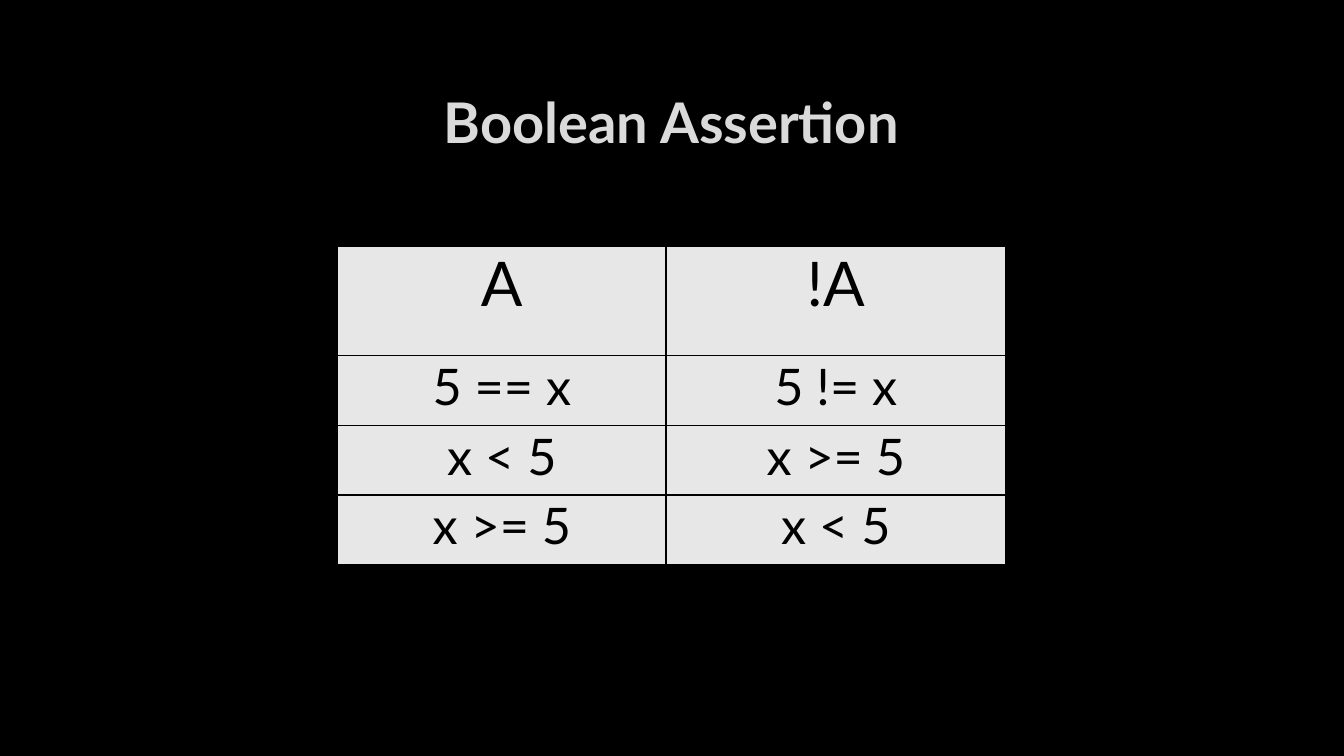
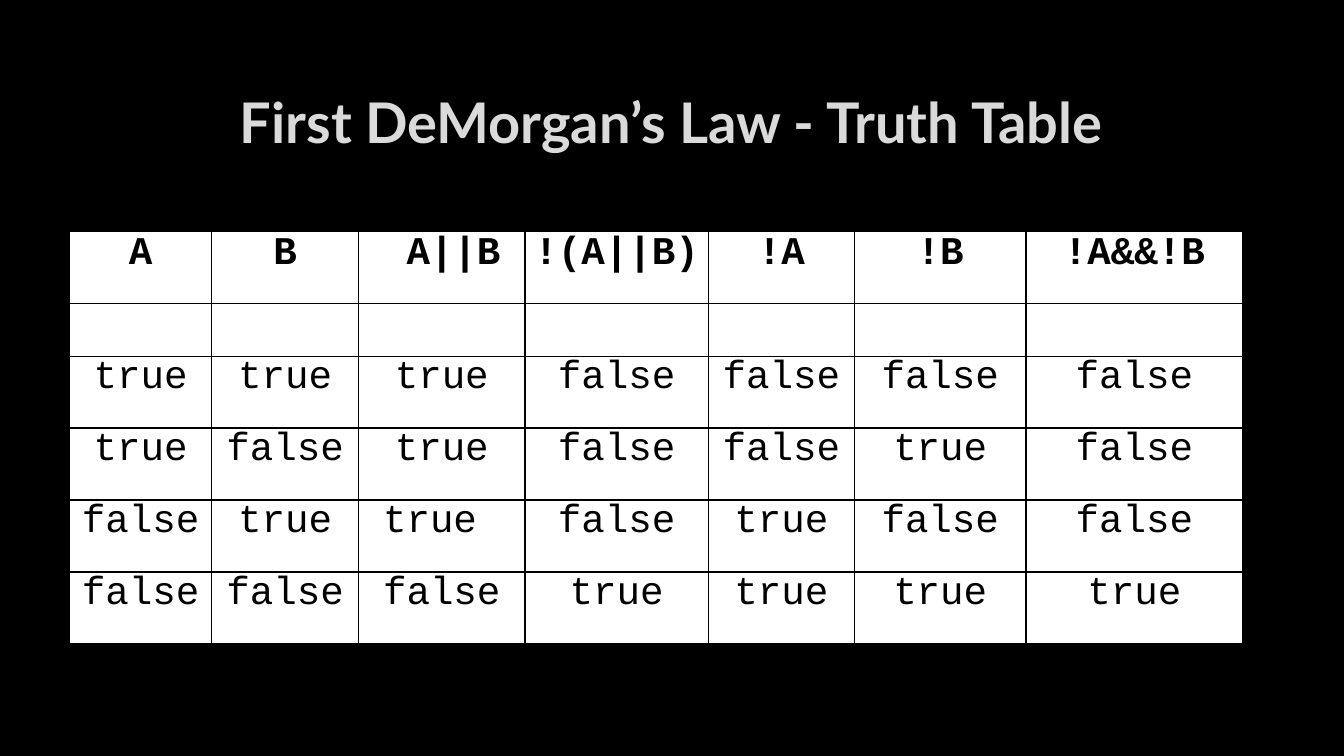
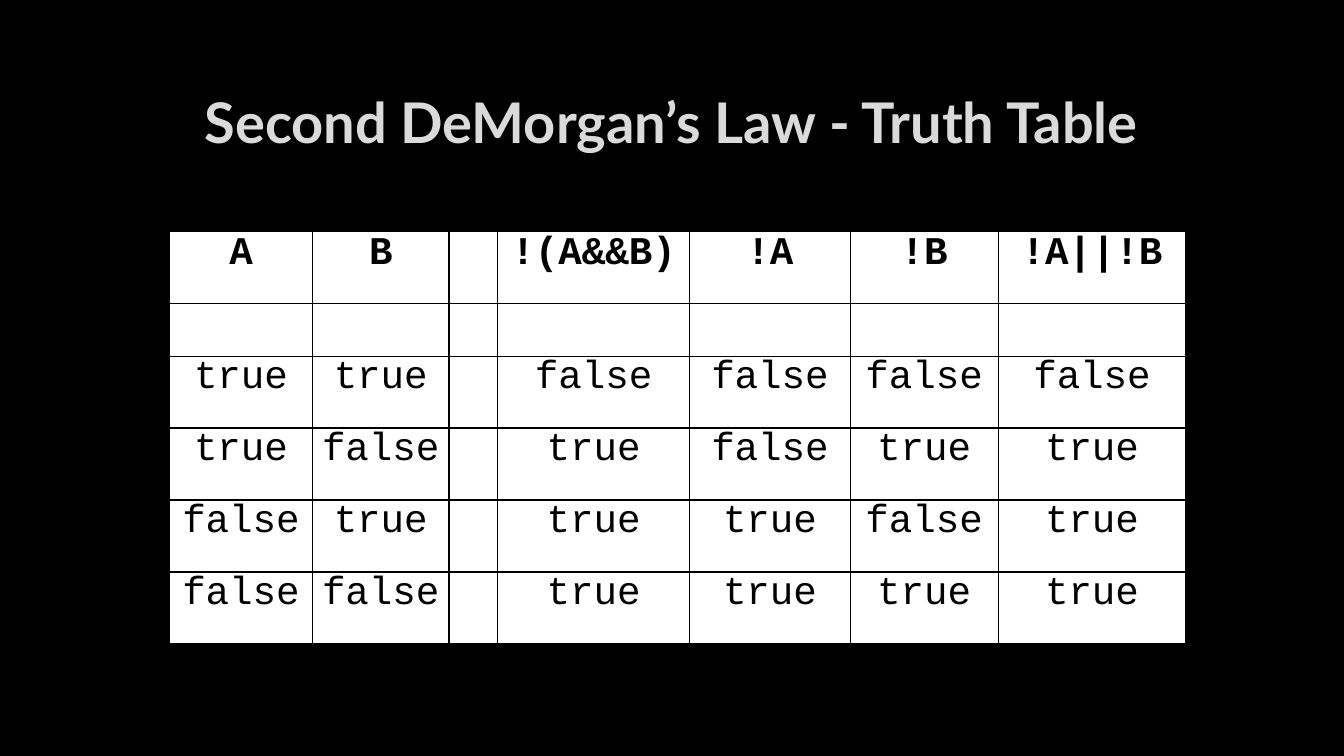
from lxml import etree
from pptx import Presentation
from pptx.dml.color import RGBColor
from pptx.enum import text
from pptx.oxml import ns
from pptx.util import Pt

BLACK = RGBColor(0x00, 0x00, 0x00)
WHITE = RGBColor(0xFF, 0xFF, 0xFF)
PALE_GREY = RGBColor(0xE7, 0xE7, 0xE7)
TITLE_GREY = RGBColor(0xDA, 0xDA, 0xDA)
TITLE_FONT = "Lato"
CODE_FONT = "Courier New"
TITLE_ONLY = 5
TRUTH_TOP = 165.6
TRUTH_HEIGHTS = [51.4, 37.4] + [51.4] * 4

ASSERTIONS = [
    "A,!A",
    "5 == x,5 != x",
    "x < 5,x >= 5",
    "x >= 5,x < 5",
]
FIRST_LAW = [
    "A,B,\u00a0A||B,!(A||B),!A,!B,!A&&!B",
    ",,,,,,",
    "true,true,true,false,false,false,false",
    "true,false,true,false,false,true,false",
    "false,true,true\u00a0,false,true,false,false",
    "false,false,false,true,true,true,true",
]
SECOND_LAW = [
    "A,B,,!(A&&B),!A,!B,!A||!B",
    ",,,,,,",
    "true,true,,false,false,false,false",
    "true,false,,true,false,true,true",
    "false,true,,true,true,false,true",
    "false,false,,true,true,true,true",
]


def add_run(paragraph, words, font, size, color, bold=False):
    run = paragraph.add_run()
    run.text = words
    run.font.name = font
    run.font.size = Pt(size)
    run.font.bold = bold
    run.font.color.rgb = color


def add_titled_slide(presentation, words):
    slide = presentation.slides.add_slide(presentation.slide_layouts[TITLE_ONLY])
    title = slide.shapes.title
    title.left, title.top, title.width, title.height = Pt(72), Pt(48), Pt(815), Pt(76.5)
    title.text_frame.vertical_anchor = text.MSO_ANCHOR.MIDDLE
    paragraph = title.text_frame.paragraphs[0]
    paragraph.alignment = text.PP_ALIGN.CENTER
    add_run(paragraph, words, TITLE_FONT, 40, TITLE_GREY, bold=True)
    return slide


def add_borders(cell):
    properties = cell._tc.get_or_add_tcPr()
    for position, side in enumerate(("lnL", "lnR", "lnT", "lnB")):
        line = etree.Element(ns.qn(f"a:{side}"), w=str(Pt(1)))
        fill = etree.SubElement(line, ns.qn("a:solidFill"))
        etree.SubElement(fill, ns.qn("a:srgbClr"), val=str(BLACK))
        properties.insert(position, line)


def format_cell(cell, words, fill, font, size, bold):
    cell.margin_left = cell.margin_right = Pt(5)
    cell.margin_top = cell.margin_bottom = Pt(0)
    cell.fill.solid()
    cell.fill.fore_color.rgb = fill
    add_borders(cell)
    if words:
        paragraph = cell.text_frame.paragraphs[0]
        paragraph.alignment = text.PP_ALIGN.CENTER
        add_run(paragraph, words, font, size, BLACK, bold)


def add_grid(slide, rows, left, top, widths, heights, fill, font, sizes, bold_header):
    frame = slide.shapes.add_table(
        len(heights), len(widths), Pt(left), Pt(top), Pt(sum(widths)), Pt(sum(heights)))
    table = frame.table
    table.first_row = table.horz_banding = False
    for column, width in zip(table.columns, widths):
        column.width = Pt(width)
    for index, (row, height, line) in enumerate(zip(table.rows, heights, rows)):
        row.height = Pt(height)
        is_header = index == 0
        size = sizes[0] if is_header else sizes[1]
        for cell, words in zip(row.cells, line.split(",")):
            format_cell(cell, words, fill, font, size, bold_header and is_header)


def add_truth_table(slide, rows, left, widths):
    add_grid(slide, rows, left, TRUTH_TOP, widths, TRUTH_HEIGHTS,
             WHITE, CODE_FONT, (28, 28), bold_header=True)


def main():
    presentation = Presentation()
    presentation.slide_width, presentation.slide_height = Pt(960), Pt(540)
    background = presentation.slide_master.background.fill
    background.solid()
    background.fore_color.rgb = BLACK

    slide = add_titled_slide(presentation, "Boolean Assertion")
    add_grid(slide, ASSERTIONS, 241.2, 175.7, [234.5, 242.7], [78.5] + [49.7] * 3,
             PALE_GREY, TITLE_FONT, (44, 36), bold_header=False)

    slide = add_titled_slide(presentation, "First DeMorgan’s Law - Truth Table")
    add_truth_table(slide, FIRST_LAW, 49.7,
                    [101.5, 105, 118.8, 131, 104.5, 122.4, 154.8])

    slide = add_titled_slide(presentation, "Second DeMorgan’s Law - Truth Table")
    add_truth_table(slide, SECOND_LAW, 121,
                    [102.3, 97.4, 34.6, 137.5, 114.5, 105.8, 134])

    presentation.save("out.pptx")


main()
